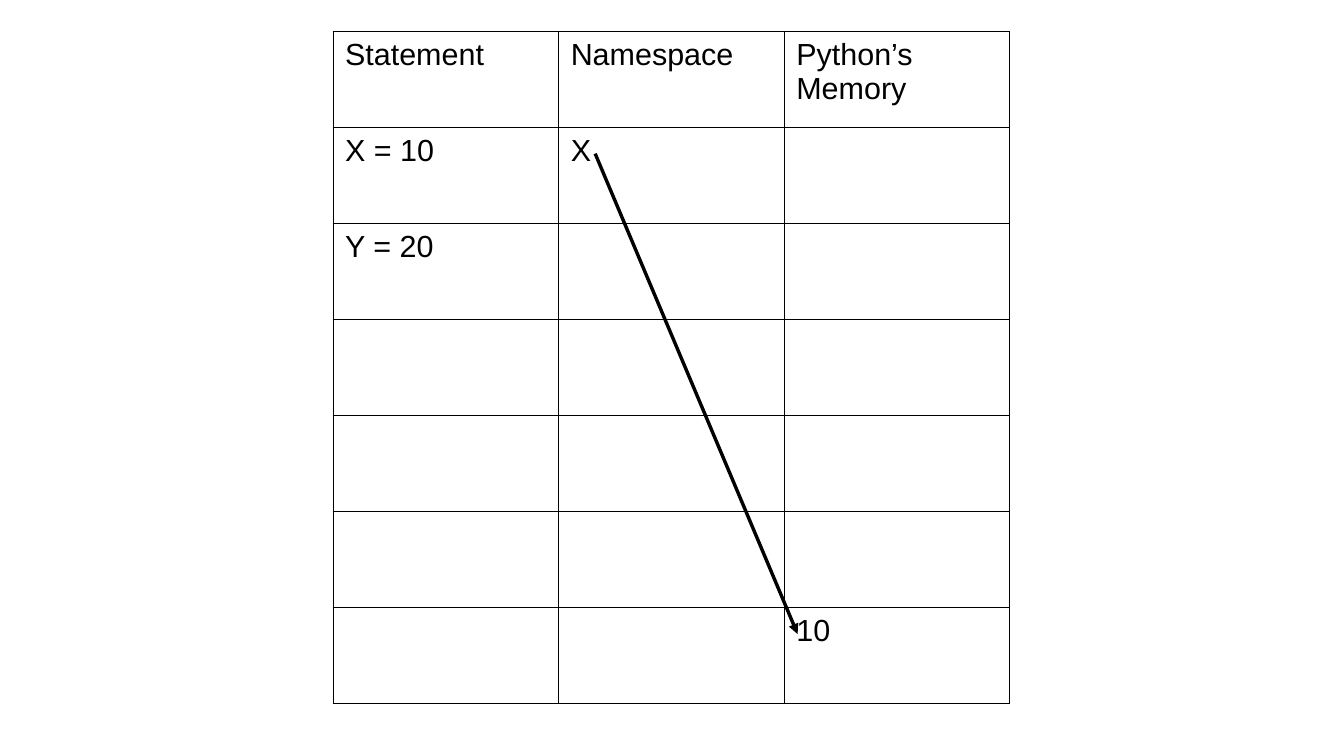
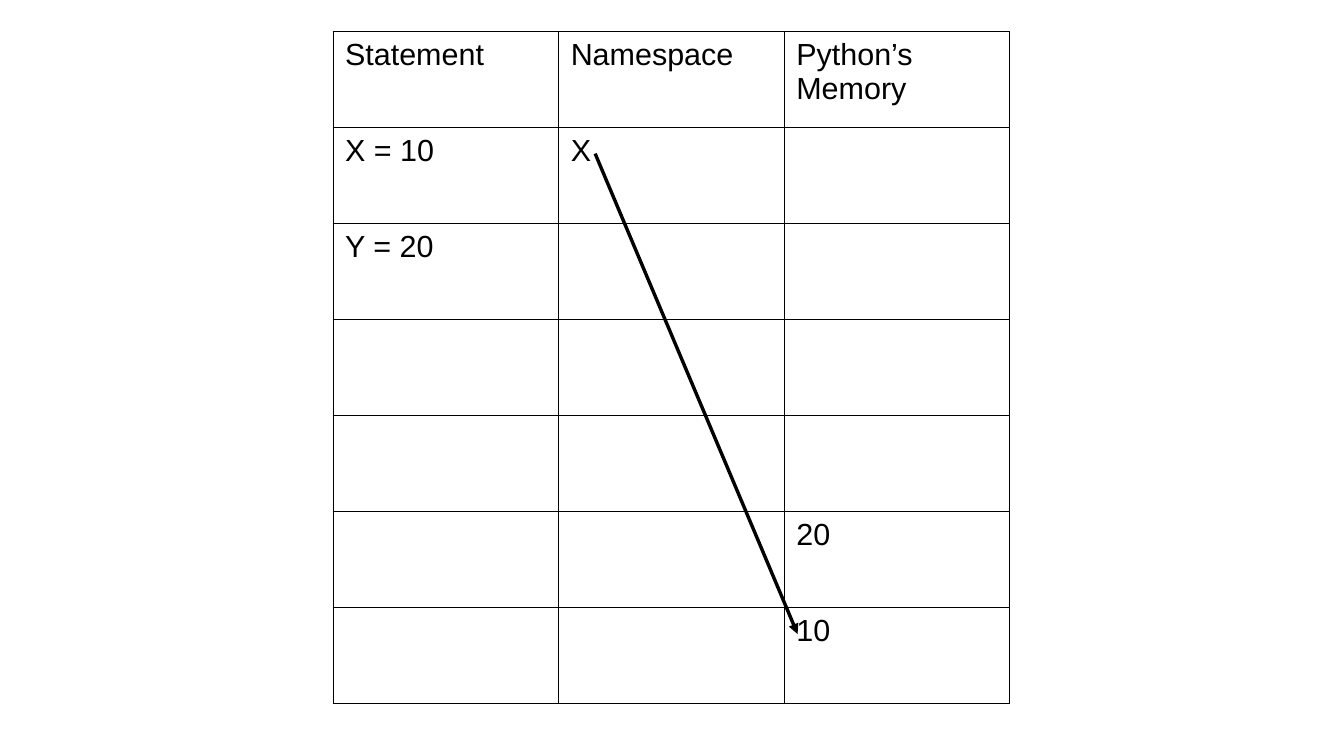
from dataclasses import dataclass

from lxml import etree
from pptx import Presentation
from pptx.dml.color import RGBColor
from pptx.enum.shapes import MSO_CONNECTOR
from pptx.oxml.ns import qn
from pptx.util import Inches, Pt

STRAIGHT = MSO_CONNECTOR.STRAIGHT


@dataclass(frozen=True)
class Theme:
    font: str = "Arial"
    size: float = 18
    ink: str = "000000"
    border: float = 0.57


theme = Theme()
ink = RGBColor.from_string(theme.ink)

ROWS, COLS = 7, 3
HEADS = ["Statement", "Namespace", "Python’s Memory"]
SHARED = {(0, col): head for col, head in enumerate(HEADS)}
SHARED.update({(1, 0): "X = 10", (1, 1): "X", (2, 0): "Y = 20", (6, 2): "10"})
STEPS = [{}, {(5, 2): "20"}]


def style_cell(cell, text):
    """Write the text and give the cell a thin border and no fill."""
    cell.text = text
    font = cell.text_frame.paragraphs[0].font
    font.name = theme.font
    font.size = Pt(theme.size)
    font.color.rgb = ink
    props = cell._tc.get_or_add_tcPr()
    for side in ("a:lnL", "a:lnR", "a:lnT", "a:lnB"):
        edge = etree.SubElement(props, qn(side), w=str(Pt(theme.border)))
        fill = etree.SubElement(edge, qn("a:solidFill"))
        etree.SubElement(fill, qn("a:srgbClr"), val=theme.ink)
    cell.fill.background()


def add_arrow(slide, start, end):
    arrow = slide.shapes.add_connector(
        STRAIGHT, *(Inches(value) for value in (*start, *end)))
    arrow.line.color.rgb = ink
    arrow.line.width = Pt(0)
    etree.SubElement(arrow.line._get_or_add_ln(), qn("a:tailEnd"), type="triangle")
    etree.SubElement(arrow._element.spPr, qn("a:effectLst"))


deck = Presentation()
deck.slide_width = Inches(11.02)
deck.slide_height = Inches(6.2)
blank = deck.slide_layouts[6]

for step in STEPS:
    slide = deck.slides.add_slide(blank)
    table = slide.shapes.add_table(
        ROWS, COLS, Inches(2.73), Inches(0.26), Inches(5.55), Inches(5.51)).table
    table.first_row = False
    table.horz_banding = False
    texts = {**SHARED, **step}
    for row in range(ROWS):
        for col in range(COLS):
            style_cell(table.cell(row, col), texts.get((row, col), ""))
    add_arrow(slide, (4.88, 1.26), (6.54, 5.2))

deck.save("out.pptx")
